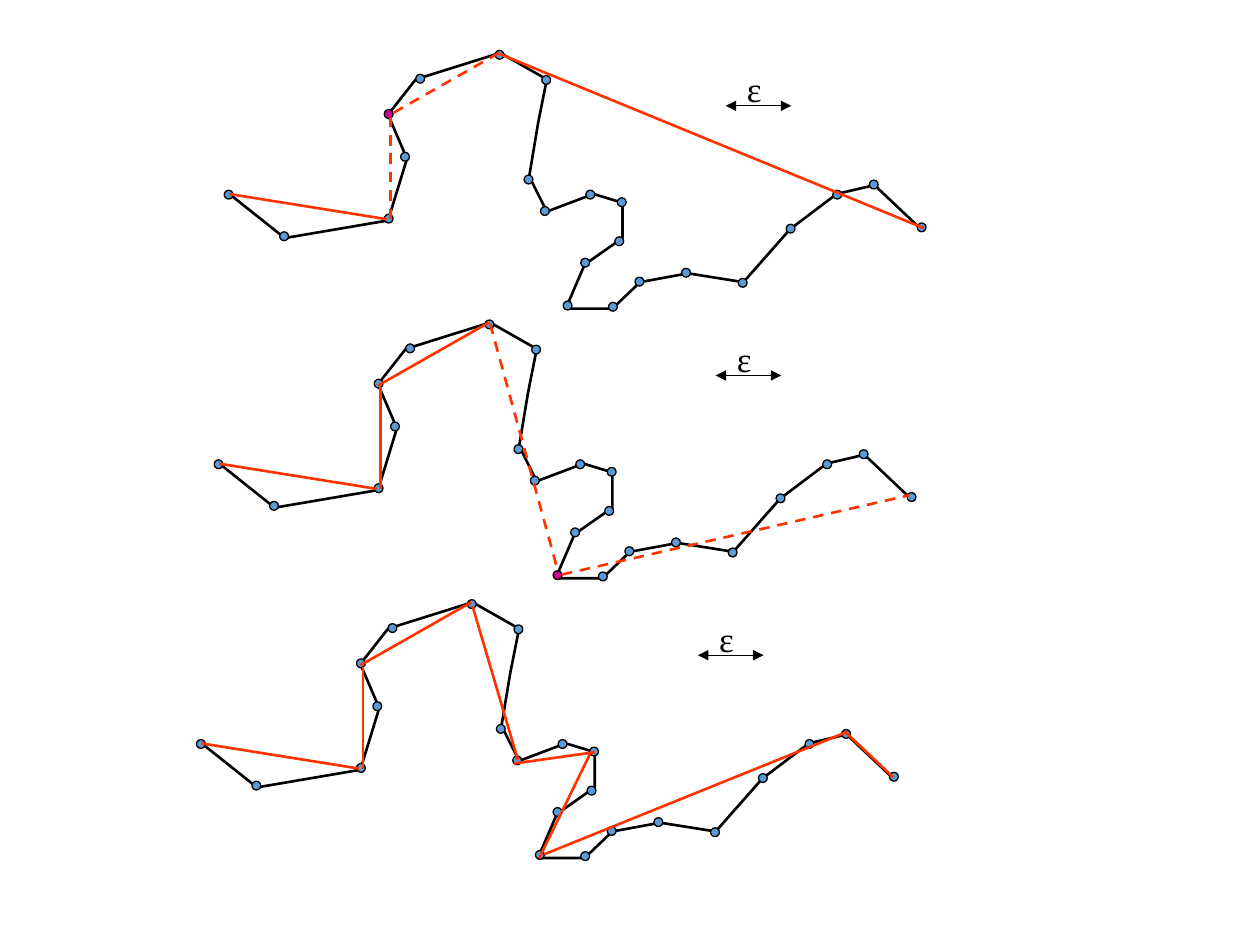
from dataclasses import dataclass

from lxml import etree
from pptx import Presentation
from pptx.dml.color import RGBColor
from pptx.enum.dml import MSO_LINE
from pptx.enum.shapes import MSO_CONNECTOR, MSO_SHAPE
from pptx.enum.text import MSO_AUTO_SIZE
from pptx.oxml.ns import qn
from pptx.util import Inches, Pt

STRAIGHT = MSO_CONNECTOR.STRAIGHT
ELLIPSE = MSO_SHAPE.OVAL
DASH = MSO_LINE.DASH
SOLID = MSO_LINE.SOLID
FIT_SHAPE = MSO_AUTO_SIZE.SHAPE_TO_FIT_TEXT

# The slide is a grid of 1000 columns by 750 rows; all lengths are in cells
CELL = Inches(0.01)
COLUMNS, ROWS = 1000, 750


@dataclass(frozen=True)
class Theme:
    ink: RGBColor = RGBColor(0x00, 0x00, 0x00)
    vertex: RGBColor = RGBColor(0x5B, 0x9B, 0xD5)
    split_vertex: RGBColor = RGBColor(0xCC, 0x00, 0x99)
    chord: RGBColor = RGBColor(0xFF, 0x33, 0x00)
    thick: Pt = Pt(1.5)
    thin: Pt = Pt(0.75)
    font: str = "Times New Roman"
    label_size: Pt = Pt(20)


THEME = Theme()

# The polyline, relative to the stage's box
CURVE = [
    (0, 112), (44, 147), (126, 133), (141, 84), (126, 49), (148, 21),
    (215, 0), (252, 21), (245, 56), (238, 98), (252, 126), (289, 112),
    (312, 119), (312, 147), (282, 168), (267, 203), (304, 203), (326, 182),
    (364, 175), (408, 182), (445, 140), (482, 112), (512, 105), (549, 140),
]

# Top left corners of the vertex dots, relative to the first column and top row of dots
DOTS = [
    (0, 111), (44, 144), (127, 130), (140, 81), (127, 47), (152, 19),
    (215, 0), (252, 20), (238, 99), (251, 124), (287, 111), (310, 148),
    (312, 117), (283, 165), (269, 199), (305, 200), (326, 180), (363, 173),
    (550, 137), (512, 103), (483, 111), (446, 138), (408, 181),
]
DOT_SIZE = 7
DOT_SHIFT = (-4, -2)

# Chords of the simplified line
BASE = ((0, 112), (125, 132))
RISE = ((128, 132), (128, 51))
CREST = ((214, 0), (126, 50))

# Box corner, index of the vertex being split at, solid chords, dashed chords
STAGES = [
    ((182, 42), 4, [((215, 1), (551, 139)), BASE], [RISE, CREST]),
    ((174, 256), 14, [BASE, RISE, CREST],
     [((215, 1), (269, 198)), ((272, 200), (548, 137))]),
    ((160, 478), None,
     [((248, 128), (312, 119)), BASE, RISE, CREST, ((272, 200), (512, 103)),
      ((215, 3), (251, 125)), ((268, 203), (309, 119)), ((511, 103), (549, 139))],
     []),
]


def shifted(point, box):
    return point[0] + box[0], point[1] + box[1]


def in_cells(*lengths):
    return [length * CELL for length in lengths]


def apply_format(target, values):
    for name, value in values.items():
        setattr(target, name, value)


def format_line(line, color, width, dash=SOLID):
    line.color.rgb = color
    apply_format(line, {"width": width, "dash_style": dash})


def add_segment(shapes, box, ends, color, width, dash=SOLID):
    start, end = (shifted(point, box) for point in ends)
    connector = shapes.add_connector(STRAIGHT, *in_cells(*start, *end))
    format_line(connector.line, color, width, dash)
    etree.SubElement(connector._element.spPr, qn("a:effectLst"))
    return connector


def add_curve(shapes, box):
    first, *rest = [shifted(point, box) for point in CURVE]
    builder = shapes.build_freeform(*first, scale=CELL)
    builder.add_line_segments(rest, close=False)
    curve = builder.convert_to_shape()
    curve.shadow.inherit = False
    curve.fill.background()
    format_line(curve.line, THEME.ink, THEME.thick)


def add_dots(shapes, box, split_index):
    for index, corner in enumerate(DOTS):
        left, top = shifted(shifted(corner, box), DOT_SHIFT)
        dot = shapes.add_shape(ELLIPSE, *in_cells(left, top, DOT_SIZE, DOT_SIZE))
        dot.shadow.inherit = False
        dot.fill.solid()
        dot.fill.fore_color.rgb = THEME.split_vertex if index == split_index else THEME.vertex
        format_line(dot.line, THEME.ink, THEME.thin)


def add_tolerance(shapes, box):
    # Label
    label = shapes.add_textbox(*in_cells(*shifted((401, 7), box), 32, 43))
    apply_format(label.text_frame, {"word_wrap": False, "auto_size": FIT_SHAPE})
    run = label.text_frame.paragraphs[0].add_run()
    run.text = "ε"
    apply_format(run.font, {"name": THEME.font, "size": THEME.label_size})
    run.font.color.rgb = THEME.ink

    # Double arrow
    arrow = add_segment(shapes, box, ((394, 42), (446, 42)), THEME.ink, THEME.thin)
    line = arrow.line._get_or_add_ln()
    for tag in ("a:headEnd", "a:tailEnd"):
        etree.SubElement(line, qn(tag), type="triangle")


def add_stage(slide, box, split_index, solid_chords, dashed_chords):
    shapes = slide.shapes.add_group_shape().shapes
    add_curve(shapes, box)
    add_dots(shapes, box, split_index)
    add_tolerance(shapes, box)
    for chords, dash in ((solid_chords, SOLID), (dashed_chords, DASH)):
        for ends in chords:
            add_segment(shapes, box, ends, THEME.chord, THEME.thick, dash)


def main():
    presentation = Presentation()
    apply_format(presentation, {"slide_width": COLUMNS * CELL, "slide_height": ROWS * CELL})
    slide = presentation.slides.add_slide(presentation.slide_layouts[6])
    for stage in STAGES:
        add_stage(slide, *stage)
    presentation.save("out.pptx")


if __name__ == "__main__":
    main()
